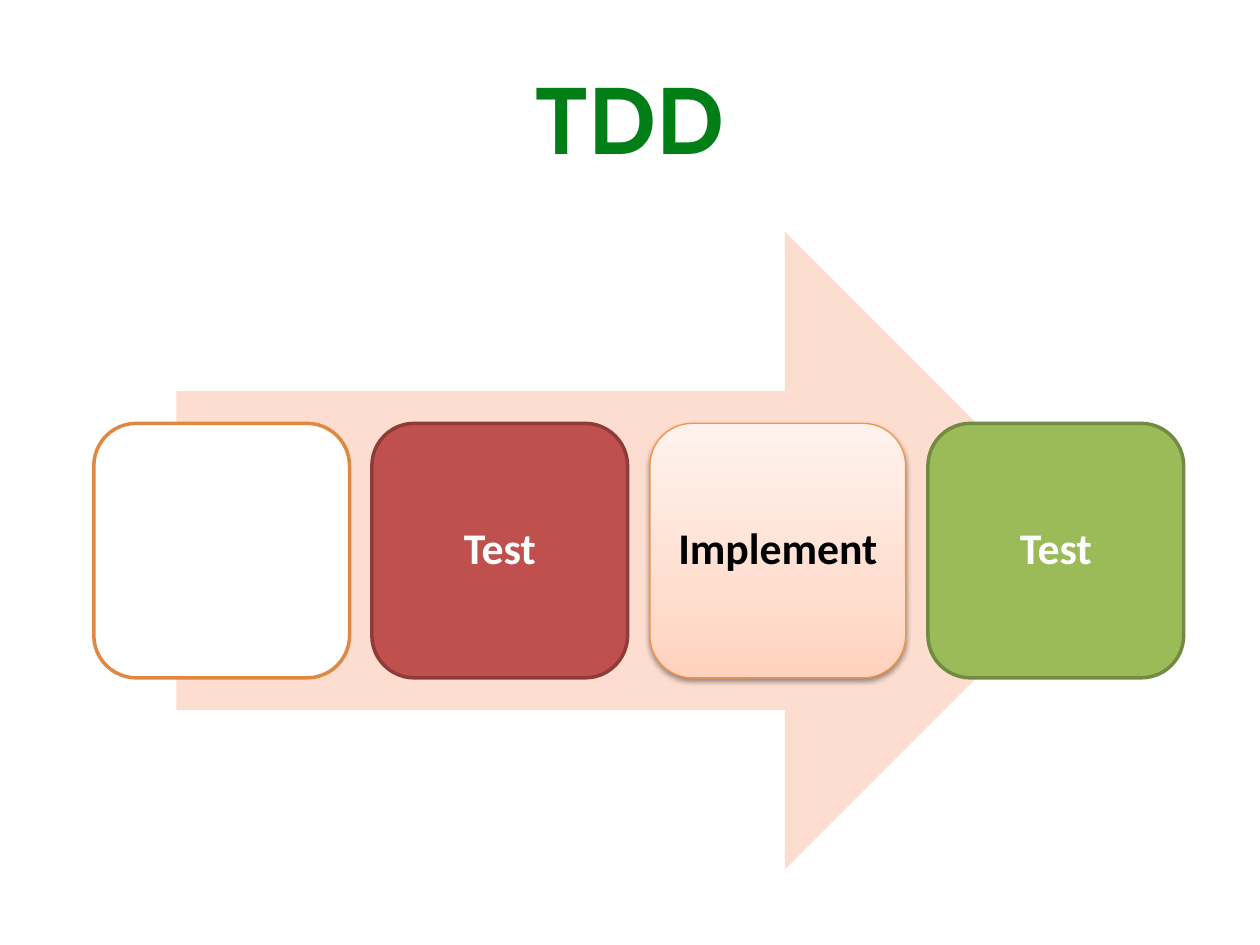
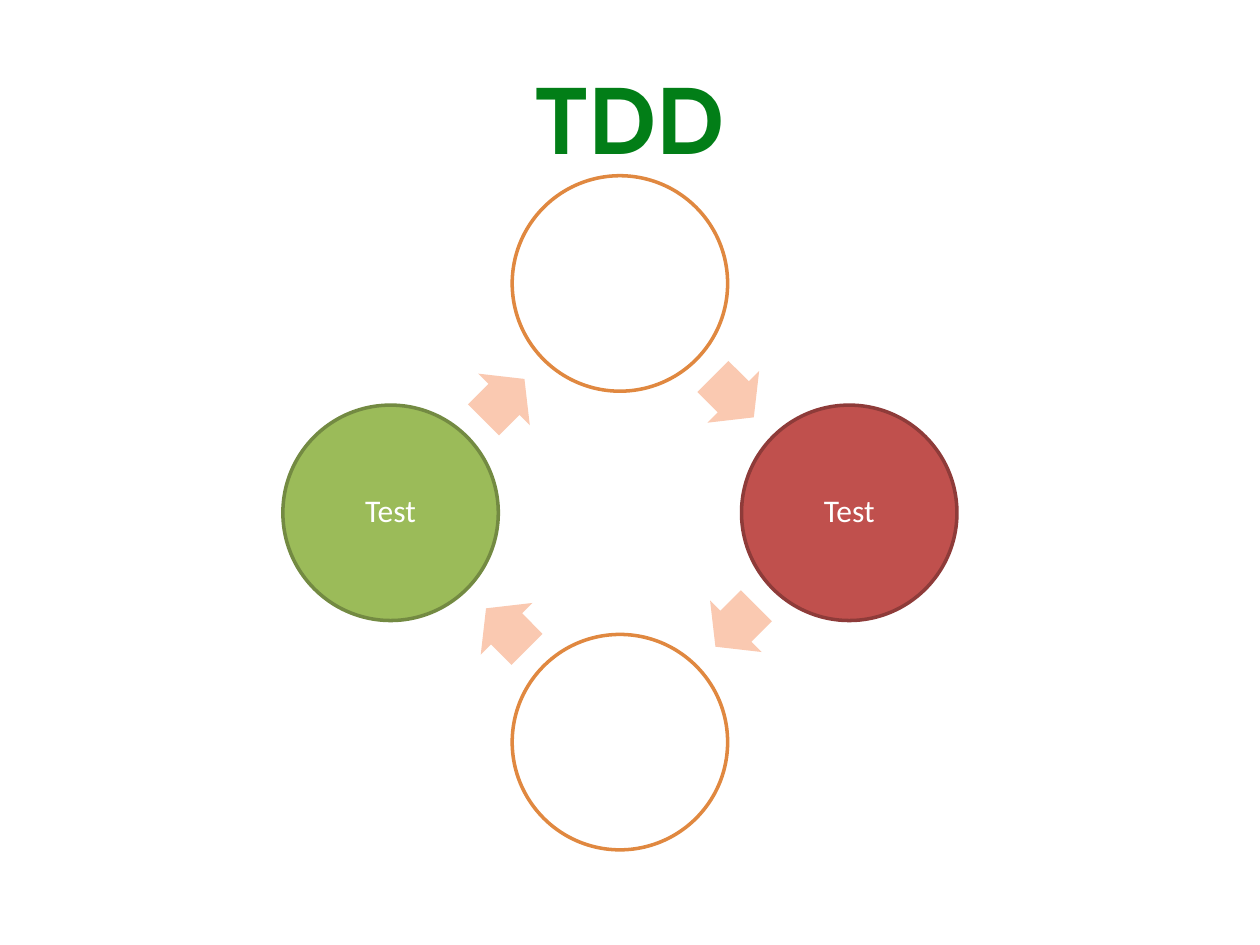
from copy import deepcopy

from lxml import etree
from pptx import Presentation
from pptx.dml.color import RGBColor
from pptx.enum import shapes, text
from pptx.oxml import ns
from pptx.util import Inches, Pt

COLOURS = {
    "title": "027E17",
    "white": "FFFFFF",
    "black": "000000",
    "orange": "E08840",
    "red": "C0504D",
    "red edge": "8E3B39",
    "green": "9BBB59",
    "green edge": "738A42",
    "peach edge": "F69240",
    "flow": "FCDDCF",
    "cycle": "FAC9B1",
    "peach low": "FFD2BD",
    "peach mid": "FFDED0",
    "peach high": "FFF2ED",
}
# fill, edge, edge width in points, text colour
STEP_STYLES = {
    "blank": ("white", "orange", 2, "black"),
    "red": ("red", "red edge", 2, "white"),
    "peach": (None, "peach edge", 0.75, "black"),
    "green": ("green", "green edge", 2, "white"),
}
PEACH_STOPS = [(0, "peach low"), (0.35, "peach mid"), (1, "peach high")]
Preset = shapes.MSO_SHAPE


def rgb(name):
    return RGBColor.from_string(COLOURS[name])


def set_all(target, values):
    for key, value in values.items():
        setattr(target, key, value)


class Deck:
    def __init__(self):
        self.prs = Presentation()
        self.prs.slide_width, self.prs.slide_height = Inches(10), Inches(7.5)
        self.slide = None

    def add_slide(self, title):
        self.slide = self.prs.slides.add_slide(self.prs.slide_layouts[5])
        heading = self.slide.shapes.title
        set_all(heading, {"left": Inches(0.5), "top": Inches(0.3),
                          "width": Inches(9), "height": Inches(1.25)})
        self.label(heading, title, "Cabin", 54, True, "title")

    def label(self, shape, words, font, size, bold, colour, inset=0.1, spacing=None):
        frame = shape.text_frame
        margins = {f"margin_{side}": Inches(inset)
                   for side in ("left", "right", "top", "bottom")}
        set_all(frame, {"text": words, "word_wrap": True,
                        "vertical_anchor": text.MSO_ANCHOR.MIDDLE, **margins})
        paragraph = frame.paragraphs[0]
        set_all(paragraph, {"alignment": text.PP_ALIGN.CENTER, "line_spacing": spacing})
        run_font = paragraph.runs[0].font
        set_all(run_font, {"name": font, "size": Pt(size), "bold": bold})
        run_font.color.rgb = rgb(colour)

    def add_preset(self, preset, centre, size, fill=None):
        """Place a flat, edgeless shape around its centre."""
        (x, y), (width, height) = centre, size
        shape = self.slide.shapes.add_shape(
            preset, Inches(x - width / 2), Inches(y - height / 2),
            Inches(width), Inches(height))
        shape.shadow.inherit = False
        shape.line.fill.background()
        if fill:
            shape.fill.solid()
            shape.fill.fore_color.rgb = rgb(fill)
        return shape

    def add_arrow(self, centre, size, fill, rotation=0, adjustments=()):
        arrow = self.add_preset(Preset.RIGHT_ARROW, centre, size, fill)
        arrow.rotation = rotation
        for index, value in enumerate(adjustments):
            arrow.adjustments[index] = value

    def add_step(self, preset, centre, size, style, words, font_size, bold, inset):
        fill, edge, edge_width, text_colour = STEP_STYLES[style]
        step = self.add_preset(preset, centre, size, fill)
        step.line.color.rgb = rgb(edge)
        step.line.width = Pt(edge_width)
        if fill is None:
            self.raise_peach(step)
        if words:
            self.label(step, words, "Calibri", font_size, bold, text_colour, inset, 0.9)

    def raise_peach(self, shape):
        """Give the shape a three-stop gradient and a soft shadow below it."""
        shape.fill.gradient()
        shape.fill.gradient_angle = 90
        properties = shape._element.spPr
        stop_list = properties.find(".//" + ns.qn("a:gsLst"))
        stop_list.append(deepcopy(stop_list[0]))
        for stop, (position, colour) in zip(shape.fill.gradient_stops, PEACH_STOPS):
            stop.position = position
            stop.color.rgb = rgb(colour)
        shadow = etree.SubElement(
            properties.find(ns.qn("a:effectLst")), ns.qn("a:outerShdw"),
            blurRad=str(Pt(3.1)), dist=str(Pt(1.6)), dir="5400000", rotWithShape="0")
        tint = etree.SubElement(shadow, ns.qn("a:srgbClr"), val=COLOURS["black"])
        etree.SubElement(tint, ns.qn("a:alpha"), val="38000")


def build_flow(deck):
    deck.add_slide("TDD")
    middle = 4.37
    deck.add_arrow((5.08, middle), (7.36, 5.06), "flow")
    steps = [("blank", ""), ("red", "Test"), ("peach", "Implement"), ("green", "Test")]
    first, last = 1.76, 8.38
    pitch = (last - first) / (len(steps) - 1)
    for index, (style, words) in enumerate(steps):
        deck.add_step(Preset.ROUNDED_RECTANGLE, (first + index * pitch, middle),
                      (2.03, 2.02), style, words, 25, True, 0.08)


def build_cycle(deck):
    deck.add_slide("TDD")
    centre_x, centre_y = 4.92, 4.07
    step_offset, arrow_offset = (0, -1.82), (0.9, -0.92)
    steps = [("blank", ""), ("red", "Test"), ("blank", ""), ("green", "Test")]
    for index, (style, words) in enumerate(steps):
        step_at, arrow_at = ((centre_x + x, centre_y + y)
                             for x, y in (step_offset, arrow_offset))
        deck.add_step(Preset.OVAL, step_at, (1.71, 1.71), style, words, 18, False, 0.03)
        deck.add_arrow(arrow_at, (0.46, 0.58), "cycle", 45 + 90 * index, (0.6, 0.5))
        # A quarter turn clockwise leads to the next step.
        step_offset, arrow_offset = ((-y, x) for x, y in (step_offset, arrow_offset))


def main():
    deck = Deck()
    build_flow(deck)
    build_cycle(deck)
    deck.prs.save("out.pptx")


if __name__ == "__main__":
    main()
